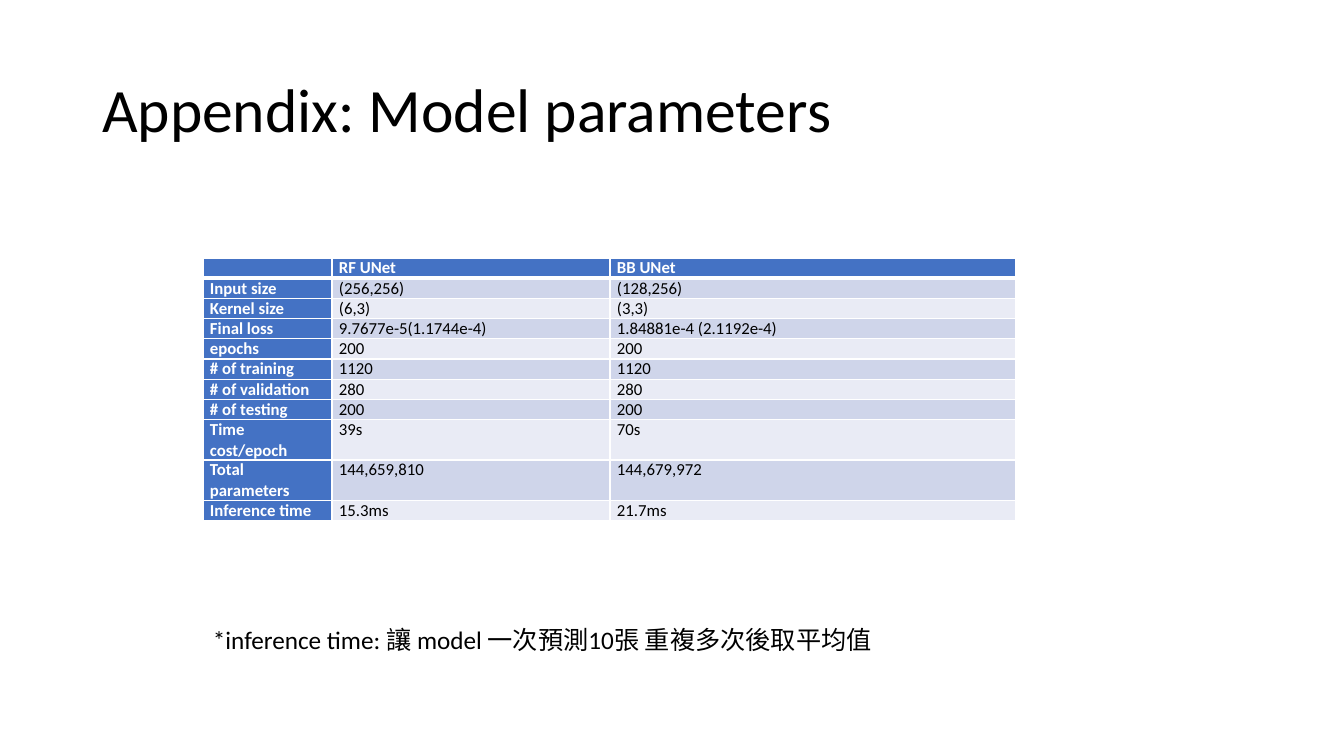
from pptx import Presentation
from pptx.dml.color import RGBColor as RGB
from pptx.enum.text import MSO_ANCHOR as Anchor, MSO_AUTO_SIZE as Fit, PP_ALIGN as Align
from pptx.oxml import parse_xml
from pptx.oxml.ns import nsdecls
from pptx.util import Emu, Pt

SCALE = 914400 / 100.8
FONT = "Calibri"
BLACK = RGB(0x00, 0x00, 0x00)
WHITE = RGB(0xFF, 0xFF, 0xFF)
BLUE = RGB(0x44, 0x72, 0xC4)
BANDS = [RGB(0xE9, 0xEB, 0xF5), RGB(0xCF, 0xD5, 0xEA)]

COLS = [129, 278, 406]
LINE = 20
ROWS = [
    ("", "RF UNet", "BB UNet"),
    ("Input size", "(256,256)", "(128,256)"),
    ("Kernel size", "(6,3)", "(3,3)"),
    ("Final loss", "9.7677e-5(1.1744e-4)", "1.84881e-4 (2.1192e-4)"),
    ("epochs", "200", "200"),
    ("# of training", "1120", "1120"),
    ("# of validation", "280", "280"),
    ("# of testing", "200", "200"),
    ("Time cost/epoch", "39s", "70s"),
    ("Total parameters", "144,659,810", "144,679,972"),
    ("Inference time", "15.3ms", "21.7ms"),
]


def px(n):
    return Emu(round(n * SCALE))


def add_run(para, text, size, color=BLACK, bold=False):
    run = para.add_run()
    run.text = text
    font = run.font
    font.name, font.size, font.bold = FONT, Pt(size), bold
    font.color.rgb = color


def set_title(slide, text, left, top, width, height):
    title = slide.shapes.title
    title.left, title.top = px(left), px(top)
    title.width, title.height = px(width), px(height)
    frame = title.text_frame
    frame.auto_size = Fit.NONE
    frame.vertical_anchor = Anchor.MIDDLE
    para = frame.paragraphs[0]
    para.alignment = Align.LEFT
    para.line_spacing = 0.9
    add_run(para, text, 44)


def add_note(slide, text, left, top, width, height):
    box = slide.shapes.add_textbox(px(left), px(top), px(width), px(height))
    frame = box.text_frame
    frame.word_wrap = True
    frame.auto_size = Fit.SHAPE_TO_FIT_TEXT
    add_run(frame.paragraphs[0], text, 18)


def set_edges(cell, base):
    """Draw white cell borders, with the given width at the bottom."""
    props = cell._tc.get_or_add_tcPr()
    for side, width in zip("LRTB", (1, 1, 1, base)):
        props.append(parse_xml(
            f'<a:ln{side} {nsdecls("a")} w="{Pt(width)}"><a:solidFill>'
            f'<a:srgbClr val="{WHITE}"/></a:solidFill></a:ln{side}>'))


def fill_cell(cell, text, row, col):
    head = row == 0 or col == 0
    cell.margin_left = cell.margin_right = px(7)
    cell.margin_top = cell.margin_bottom = 0
    set_edges(cell, 3 if row == 0 else 1)
    cell.fill.solid()
    cell.fill.fore_color.rgb = BLUE if head else BANDS[row % 2]
    para = cell.text_frame.paragraphs[0]
    if text:
        add_run(para, text, 12, WHITE if head else BLACK, head)
    else:
        # Keeps the blank corner as low as the other header cells
        para._p.append(parse_xml(f'<a:endParaRPr {nsdecls("a")} sz="1200"/>'))


def add_grid(slide, left, top):
    frame = slide.shapes.add_table(len(ROWS), len(COLS), px(left), px(top),
                                   px(sum(COLS)), px(LINE * len(ROWS)))
    table = frame.table
    for col, width in zip(table.columns, COLS):
        col.width = px(width)
    for r, texts in enumerate(ROWS):
        # Rows grow where a label wraps
        table.rows[r].height = px(LINE)
        for c, text in enumerate(texts):
            fill_cell(table.cell(r, c), text, r, c)


def main():
    deck = Presentation()
    deck.slide_width, deck.slide_height = px(1344), px(756)
    slide = deck.slides.add_slide(deck.slide_layouts[5])

    # Heading
    set_title(slide, "Appendix: Model parameters", 92, 40, 1159, 146)
    # Footnote
    add_note(slide, "*inference time: 讓 model 一次預測10張 重複多次後取平均值",
             203, 619, 896, 40)
    # Parameter table
    add_grid(slide, 203, 258)

    deck.save("out.pptx")


main()
